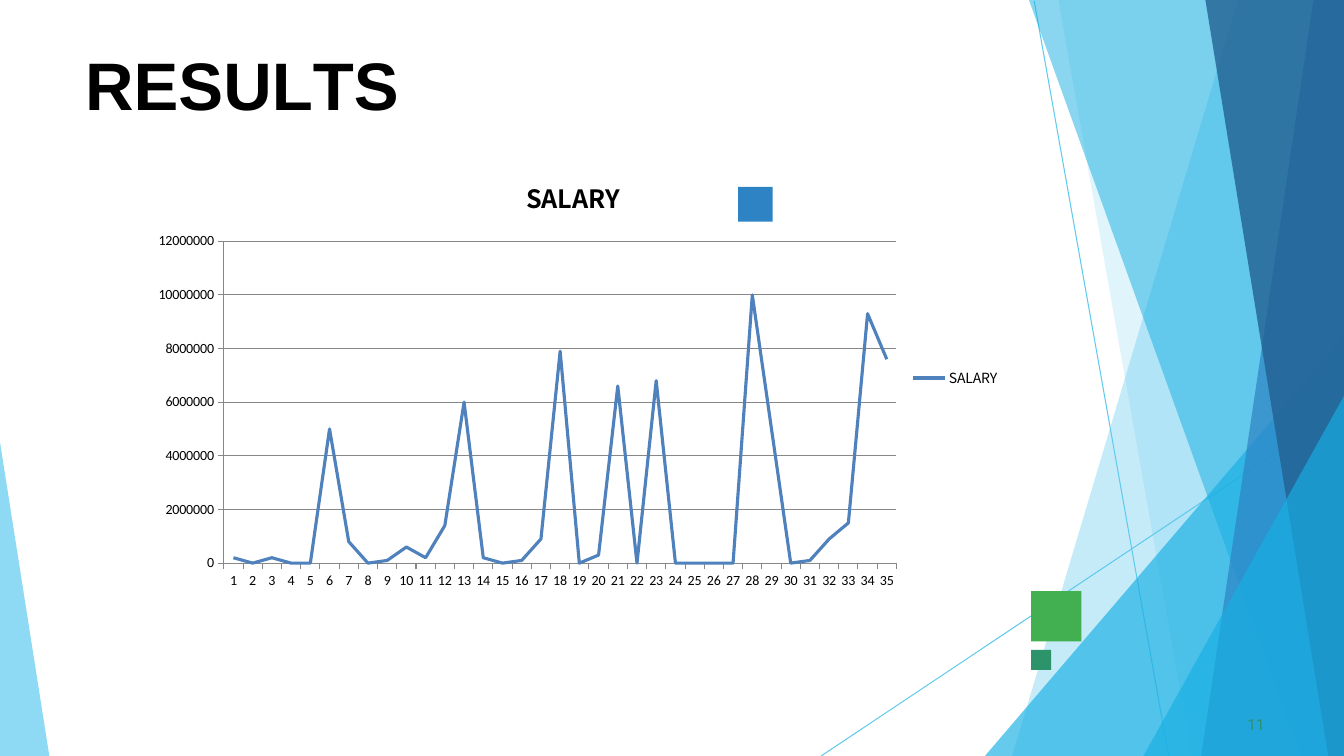
from dataclasses import dataclass

from lxml.etree import SubElement
from pptx import Presentation
from pptx.chart.data import CategoryChartData
from pptx.dml.color import RGBColor
from pptx.enum.chart import XL_CHART_TYPE as ChartType
from pptx.enum.chart import XL_LEGEND_POSITION as LegendPosition
from pptx.enum.chart import XL_TICK_MARK as TickMark
from pptx.enum.shapes import MSO_CONNECTOR as Connector
from pptx.enum.shapes import MSO_SHAPE as Shape
from pptx.oxml import parse_xml
from pptx.oxml.ns import nsdecls, qn
from pptx.util import Emu, Pt

PX = 9525
WIDTH, HEIGHT = 1280, 720


@dataclass(frozen=True)
class Theme:
    sky: str = "5FCAEE"
    azure: str = "17AFE3"
    blue: str = "2D83C3"
    navy: str = "226192"
    green: str = "42AF51"
    teal: str = "2D936B"
    black: str = "000000"
    grid: str = "878787"
    series: str = "4F81BD"
    heading_font: str = "Arial"
    number_font: str = "Roboto"
    axis_font: str = "Calibri"
    label_font: str = "Noto Sans CJK JP"
    heading_size: int = 48
    number_size: int = 11
    chart_title_size: int = 18
    chart_size: int = 10
    hairline: float = 0.75
    series_width: float = 2.25


THEME = Theme()

# Top edge x and y, foot x, colour, opacity in percent; all reach the right edge.
BANDS = [
    (1179, 0, 964, THEME.sky, 36),
    (1008, 0, 1135, THEME.sky, 20),
    (WIDTH, 320, 938, THEME.azure, 66),
    (980, 0, 1239, THEME.azure, 50),
    (1251, 0, 1144, THEME.blue, 70),
    (1148, 0, 1265, THEME.navy, 80),
    (WIDTH, 377, 1089, THEME.azure, 66),
]
HAIRLINES = [(985, 1, 1113, HEIGHT), (WIDTH, 388, 782, HEIGHT)]
SQUARES = [
    (982, 563, 48, THEME.green),
    (703, 178, 33, THEME.blue),
    (982, 619, 19, THEME.teal),
]
HEADING = [("R", 0), ("E", -0.4), ("S", 0.1), ("U", -0.3), ("L", -4), ("TS", 0)]
SALARIES = [
    200000, 0, 200000, 0, 0, 5000000, 800000, 0, 100000, 600000, 200000, 1400000,
    6000000, 200000, 0, 100000, 900000, 7900000, 0, 300000, 6600000, 0, 6800000,
    0, 0, 0, 0, 10000000, 5000000, 0, 100000, 900000, 1500000, 9300000, 7600000,
]


def px(*lengths):
    return [Emu(length * PX) for length in lengths]


def rgb(colour):
    return RGBColor.from_string(colour)


def style_font(font, name, size, colour, bold=False):
    font.name, font.size, font.bold = name, Pt(size), bold
    font.color.rgb = rgb(colour)


def paint(shape, colour, opacity=100):
    shape.shadow.inherit = False
    shape.fill.solid()
    shape.fill.fore_color.rgb = rgb(colour)
    shape.line.fill.background()
    if opacity < 100:
        tint = shape.fill._xPr.find(qn("a:solidFill"))[0]
        SubElement(tint, qn("a:alpha")).set("val", str(opacity * 1000))


def add_polygon(slide, points, colour, opacity):
    outline = slide.shapes.build_freeform(*points[0], scale=PX)
    outline.add_line_segments(points[1:], close=True)
    paint(outline.convert_to_shape(), colour, opacity)


def add_backdrop(slide, box):
    left, top, width, height = box
    right, bottom = left + width, top + height
    for x1, y1, x2, y2 in HAIRLINES:
        hairline = slide.shapes.add_connector(
            Connector.STRAIGHT, *px(left + x1, top + y1, left + x2, top + y2))
        hairline.line.color.rgb = rgb(THEME.sky)
        hairline.line.width = Pt(THEME.hairline)
        SubElement(hairline.line._ln.getparent(), qn("a:effectLst"))
    for edge, start, foot, colour, opacity in BANDS:
        corners = [(right, top + start), (left + edge, top + start),
                   (left + foot, bottom), (right, bottom)]
        if left + edge == right:
            corners.pop(0)
        add_polygon(slide, corners, colour, opacity)
    wedge = [(left, top + 421), (left, bottom), (left + 47, bottom)]
    add_polygon(slide, wedge, THEME.sky, 70)


def add_squares(slide):
    for left, top, side, colour in SQUARES:
        paint(slide.shapes.add_shape(Shape.RECTANGLE, *px(left, top, side, side)), colour)


def add_text(slide, box, runs, space_before, indent, **font):
    """Write (text, letter spacing in points) runs as one paragraph."""
    frame = slide.shapes.add_textbox(*px(*box)).text_frame
    frame.word_wrap = True
    frame.margin_left = frame.margin_right = frame.margin_bottom = 0
    frame.margin_top = px(1)[0]
    paragraph = frame.paragraphs[0]
    paragraph.space_before = Pt(space_before)
    paragraph._p.get_or_add_pPr().set("marL", str(indent * PX))
    for text, spacing in runs:
        run = paragraph.add_run()
        run.text = text
        style_font(run.font, **font)
        run.font._element.set("spc", str(round(spacing * 100)))


def place_plot(chart, **shares):
    """Fix the inner plot area, in shares of the chart box."""
    plot_area = chart._chartSpace.chart.plotArea
    for old in plot_area.findall(qn("c:layout")):
        plot_area.remove(old)
    modes = '<c:layoutTarget val="inner"/><c:xMode val="edge"/><c:yMode val="edge"/>'
    sizes = "".join(f'<c:{side} val="{share}"/>' for side, share in shares.items())
    plot_area.insert(0, parse_xml(
        f'<c:layout {nsdecls("c")}><c:manualLayout>{modes}{sizes}'
        "</c:manualLayout></c:layout>"))


def add_salary_chart(slide, box):
    salary_data = CategoryChartData()
    salary_data.categories = [str(n) for n in range(1, len(SALARIES) + 1)]
    salary_data.add_series("SALARY", SALARIES)
    chart = slide.shapes.add_chart(ChartType.LINE, *px(*box), salary_data).chart
    style_font(chart.font, THEME.axis_font, THEME.chart_size, THEME.black)

    chart.has_title = True
    title_run = chart.chart_title.text_frame.paragraphs[0].add_run()
    title_run.text = "SALARY"
    style_font(title_run.font, THEME.label_font, THEME.chart_title_size, THEME.black, True)
    chart.chart_title.include_in_layout = False

    chart.has_legend = True
    chart.legend.position = LegendPosition.RIGHT
    chart.legend.include_in_layout = False
    style_font(chart.legend.font, THEME.label_font, THEME.chart_size, THEME.black)

    values = chart.value_axis
    values.minimum_scale, values.maximum_scale, values.major_unit = 0, 12000000, 2000000
    values.has_major_gridlines = True
    values.tick_labels.number_format = "0"
    values.tick_labels.number_format_is_linked = False
    for axis in (values, chart.category_axis):
        axis.major_tick_mark = TickMark.OUTSIDE
    for rule in (values.major_gridlines, values, chart.category_axis):
        rule.format.line.color.rgb = rgb(THEME.grid)
        rule.format.line.width = Pt(THEME.hairline)

    plot = chart.plots[0]
    plot.vary_by_categories = False
    salary = plot.series[0]
    salary.smooth = False
    salary.format.line.color.rgb = rgb(THEME.series)
    salary.format.line.width = Pt(THEME.series_width)
    place_plot(chart, x=0.1, y=0.19, w=0.77, h=0.73)


def add_results_slide(deck):
    slide = deck.slides.add_slide(deck.slide_layouts[6])
    add_backdrop(slide, (0, 0, WIDTH, HEIGHT))
    add_squares(slide)
    add_text(slide, (80, 40, 366, 79), HEADING, 1.1, 1, name=THEME.heading_font,
             size=THEME.heading_size, colour=THEME.black, bold=True)
    add_text(slide, (1184, 680, 24, 20), [("11", 0.1)], 0.6, 4, name=THEME.number_font,
             size=THEME.number_size, colour=THEME.teal)
    add_salary_chart(slide, (130, 150, 832, 420))


def main():
    deck = Presentation()
    deck.slide_width, deck.slide_height = px(WIDTH, HEIGHT)
    add_results_slide(deck)
    deck.save("out.pptx")


if __name__ == "__main__":
    main()
